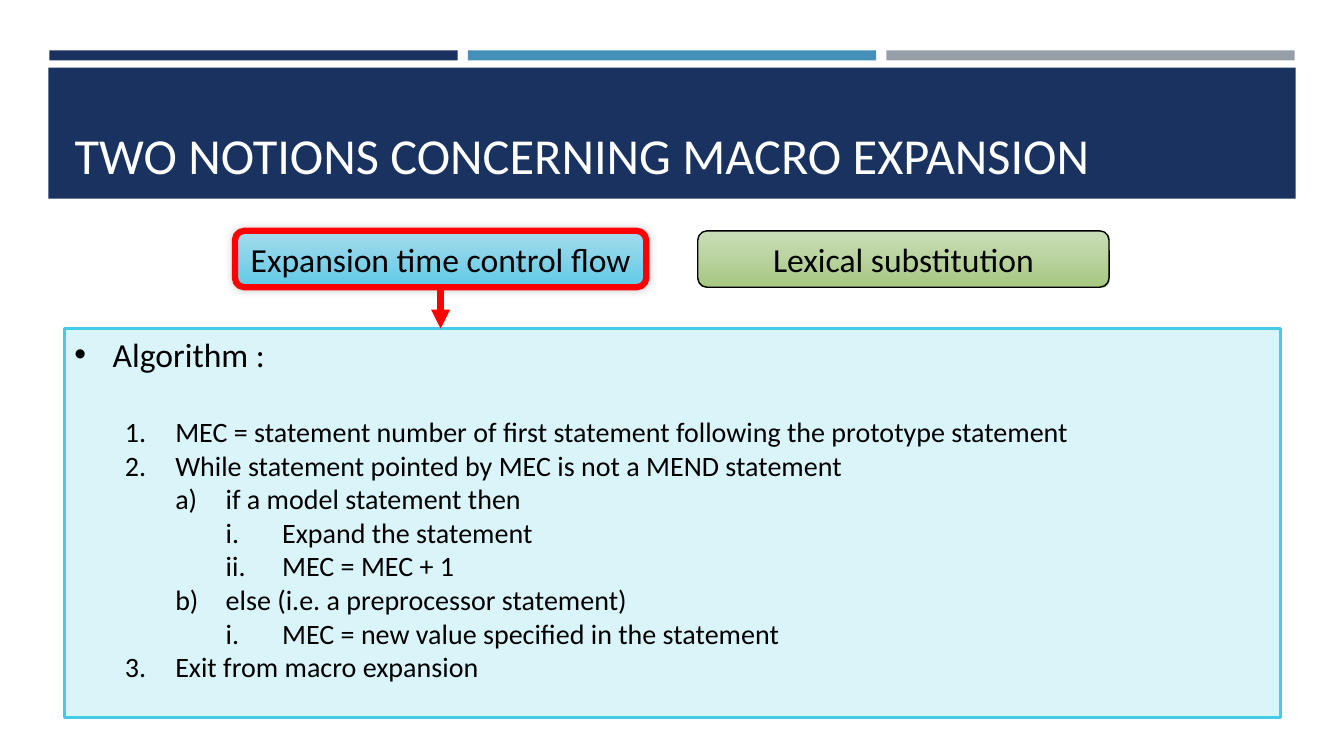
import pptx
import pptx.dml.color
import pptx.enum.dml
import pptx.enum.shapes
import pptx.enum.text
import pptx.oxml.ns
import pptx.util
from lxml import etree

Inches = pptx.util.Inches
Pt = pptx.util.Pt
Shape = pptx.enum.shapes.MSO_SHAPE
Align = pptx.enum.text.PP_ALIGN
Anchor = pptx.enum.text.MSO_ANCHOR
AutoSize = pptx.enum.text.MSO_AUTO_SIZE
qn = pptx.oxml.ns.qn

COLORS = {
    "navy": "1A3260", "blue": "4590B8", "gray": "969FA7",
    "white": "FFFFFF", "black": "000000", "red": "FF0000",
    "panel": "DAF5FA", "panel_edge": "45CBE8",
    "sky_light": "A2DDF0", "sky": "5FCCE8",
    "green_light": "C6DBB2", "green": "A6C881",
}

# Outline depth: (left margin, hanging indent, bullet tag, bullet attributes)
OUTLINE = [
    (0.38, 0.38, "a:buChar", {"char": "•"}),
    (1.0, 0.5, "a:buAutoNum", {"type": "arabicPeriod"}),
    (1.5, 0.5, "a:buAutoNum", {"type": "alphaLcParenR"}),
    (2.06, 0.56, "a:buAutoNum", {"type": "romanLcPeriod"}),
]

ALGORITHM = [
    (0, "Algorithm :"),
    (1, "MEC = statement number of first statement following the prototype statement"),
    (1, "While statement pointed by MEC is not a MEND statement"),
    (2, "if a model statement then"),
    (3, "Expand the statement"),
    (3, "MEC = MEC + 1"),
    (2, "else (i.e. a preprocessor statement)"),
    (3, "MEC = new value specified in the statement"),
    (1, "Exit from macro expansion"),
]


def rgb(name):
    return pptx.dml.color.RGBColor.from_string(COLORS[name])


def add_xml(parent, tag, **attributes):
    return etree.SubElement(parent, qn(tag), attributes)


class MacroSlide:
    font_name = "Calibri"

    def __init__(self, presentation):
        self.slide = presentation.slides.add_slide(presentation.slide_layouts[5])
        self.shapes = self.slide.shapes

    def style(self, paragraph, size, color="black"):
        paragraph.font.name = self.font_name
        paragraph.font.size = Pt(size)
        paragraph.font.color.rgb = rgb(color)

    def outline(self, item, color, width):
        item.line.color.rgb = rgb(color)
        item.line.width = Pt(width)

    def block(self, kind, left, top, width, height, fill=None):
        block = self.shapes.add_shape(
            kind, Inches(left), Inches(top), Inches(width), Inches(height))
        block.shadow.inherit = False
        block.line.fill.background()
        if fill:
            block.fill.solid()
            block.fill.fore_color.rgb = rgb(fill)
        return block

    def title(self, text, left, top, width, height):
        title = self.shapes.title
        title.left, title.top = Inches(left), Inches(top)
        title.width, title.height = Inches(width), Inches(height)
        title.text_frame.text = text
        title.text_frame.auto_size = AutoSize.NONE
        title.text_frame.vertical_anchor = Anchor.BOTTOM
        title.text_frame.paragraphs[0].alignment = Align.LEFT
        self.style(title.text_frame.paragraphs[0], 36, "white")

    def band(self, *box):
        """Add the navy band behind the title."""
        band = self.block(Shape.RECTANGLE, *box, "navy")
        self.shapes.title.element.addprevious(band.element)

    def notion(self, text, left, gradient, edge, edge_width, wrap=True):
        notion = self.block(Shape.ROUNDED_RECTANGLE, left, 2.29, 4.08, 0.56)
        notion.fill.gradient()
        notion.fill.gradient_angle = 270
        for stop, position, color in zip(notion.fill.gradient_stops, (0, 1), gradient):
            stop.position = position
            stop.color.rgb = rgb(color)
        first_color = next(notion.element.iter(qn("a:srgbClr")))
        add_xml(first_color, "a:alpha", val="90000")
        self.outline(notion, edge, edge_width)
        frame = notion.text_frame
        frame.text = text
        frame.word_wrap = wrap
        frame.auto_size = AutoSize.SHAPE_TO_FIT_TEXT
        frame.vertical_anchor = Anchor.MIDDLE
        frame.paragraphs[0].alignment = Align.CENTER
        self.style(frame.paragraphs[0], 24)
        return notion

    def soft_shadow(self, shape):
        effects = shape.element.spPr.find(qn("a:effectLst"))
        shadow = add_xml(effects, "a:outerShdw", blurRad=str(Pt(6)), dist="0",
                         dir="13500000", rotWithShape="0")
        color = add_xml(shadow, "a:srgbClr", val=COLORS["black"])
        add_xml(color, "a:alpha", val="20000")

    def algorithm(self, steps, *box):
        panel = self.block(Shape.RECTANGLE, *box, "panel")
        self.outline(panel, "panel_edge", 1.75)
        frame = panel.text_frame
        frame.word_wrap = True
        frame.vertical_anchor = Anchor.TOP
        for index, (depth, text) in enumerate(steps):
            step = frame.paragraphs[0] if index == 0 else frame.add_paragraph()
            step.text = text
            step.level = depth
            step.alignment = Align.LEFT
            if index == 1:
                step.space_before = Pt(29)
            margin, hang, tag, bullet = OUTLINE[depth]
            properties = step._p.get_or_add_pPr()
            properties.set("marL", str(Inches(margin)))
            properties.set("indent", str(-Inches(hang)))
            if depth == 0:
                add_xml(properties, "a:buFont", typeface="Arial")
            else:
                add_xml(properties, "a:buFont", typeface="+mj-lt")
            add_xml(properties, tag, **bullet)
            self.style(step, 20 if depth else 24)

    def arrow(self, x, top, bottom):
        arrow = self.shapes.add_connector(
            pptx.enum.shapes.MSO_CONNECTOR.STRAIGHT,
            Inches(x), Inches(top), Inches(x), Inches(bottom))
        self.outline(arrow, "red", 4.5)
        add_xml(arrow.line._get_or_add_ln(), "a:tailEnd", type="triangle")
        add_xml(arrow.element.spPr, "a:effectLst")


def main():
    presentation = pptx.Presentation()
    presentation.slide_width = Inches(13.33)
    presentation.slide_height = Inches(7.5)
    page = MacroSlide(presentation)

    for index, color in enumerate(("navy", "blue", "gray")):
        page.block(Shape.RECTANGLE, 0.49 + 4.15 * index, 0.5, 4.05, 0.1, color)
    page.band(0.48, 0.67, 12.37, 1.3)
    page.title("TWO NOTIONS CONCERNING MACRO EXPANSION", 0.64, 0.77, 12.06, 1.11)

    page.algorithm(ALGORITHM, 0.64, 3.26, 12.06, 3.86)
    control_flow = page.notion("Expansion time control flow", 2.33,
                               ("sky_light", "sky"), "red", 4.5, wrap=False)
    page.soft_shadow(control_flow)
    page.notion("Lexical substitution", 6.92, ("green_light", "green"), "black", 1)
    page.arrow(4.37, 2.85, 3.26)

    presentation.save("out.pptx")


if __name__ == "__main__":
    main()
